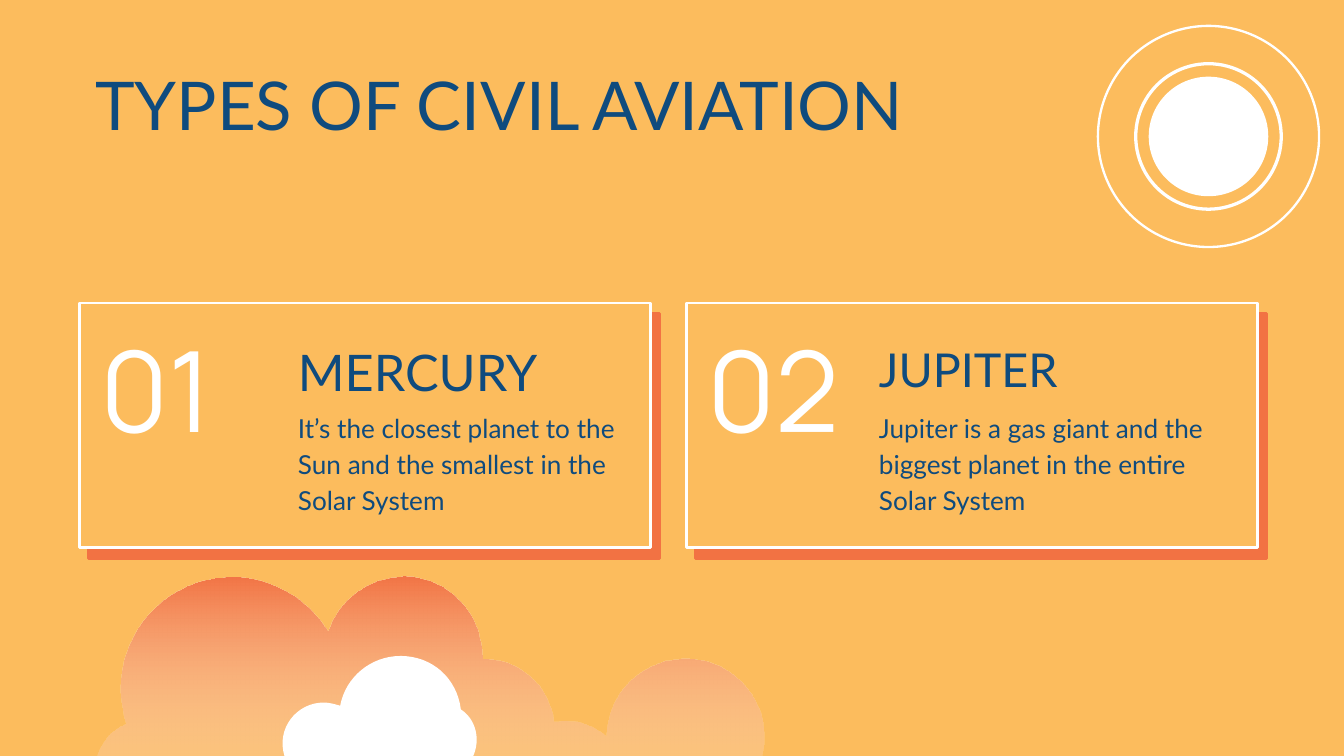
from dataclasses import dataclass

from lxml.etree import SubElement
from pptx import Presentation
from pptx.dml.color import RGBColor
from pptx.enum.shapes import MSO_SHAPE as Shape
from pptx.enum.text import MSO_ANCHOR as Anchor, MSO_AUTO_SIZE as AutoSize, PP_ALIGN as Align
from pptx.oxml.ns import qn
from pptx.util import Cm, Pt


@dataclass(frozen=True)
class Theme:
    sky: RGBColor = RGBColor.from_string("FCBC5D")
    coral: RGBColor = RGBColor.from_string("F27243")
    navy: RGBColor = RGBColor.from_string("0F4B7E")
    white: RGBColor = RGBColor.from_string("FFFFFF")
    text_font: str = "Lato"
    number_font: str = "Manrope"
    title_size: int = 36
    number_size: int = 60
    body_size: int = 14


THEME = Theme()

# Outlines in cm: a start point, then cubic curves (control, control, end).
LARGE_CLOUD = ((14.07, 14.91), [
    (14.33, 14.63, 14.45, 14.27, 14.43, 13.89),
    (14.43, 13.13, 13.82, 12.5, 13.03, 12.45),
    (12.19, 12.4, 11.46, 13.08, 11.46, 13.92),
    (11.2, 13.69, 10.82, 13.56, 10.46, 13.64),
    (10.39, 12.95, 9.8, 12.45, 9.12, 12.45),
    (9.12, 11.66, 8.59, 11.05, 7.85, 10.92),
    (7.14, 10.82, 6.43, 11.25, 6.2, 11.94),
    (5.79, 11.28, 5.05, 10.87, 4.27, 10.92),
    (3.23, 10.97, 2.39, 11.79, 2.29, 12.83),
    (2.26, 13.11, 2.31, 13.39, 2.39, 13.67),
    (1.8, 13.92, 1.6, 14.68, 2.03, 15.16),
    (1.24, 15.21, 0.71, 15.37, 0.71, 15.52),
    (0.71, 15.72, 15.04, 15.77, 15.04, 15.42),
    (15.04, 15.21, 14.66, 15.01, 14.07, 14.91),
])
SMALL_CLOUD = ((7.57, 12.4), [
    (7.01, 12.4, 6.53, 12.8, 6.43, 13.34),
    (6.32, 13.31, 6.22, 13.28, 6.12, 13.28),
    (5.61, 13.28, 5.21, 13.77, 5.38, 14.3),
    (5.08, 14.3, 4.85, 14.43, 4.85, 14.55),
    (4.85, 14.71, 5.13, 14.83, 5.49, 14.83),
    (6.5, 14.83, 7.6, 14.6, 8.79, 14.68),
    (9.3, 14.68, 9.73, 14.6, 9.73, 14.48),
    (9.73, 14.4, 9.4, 14.3, 8.94, 14.3),
    (9.09, 13.97, 8.99, 13.59, 8.71, 13.41),
    (8.64, 12.83, 8.18, 12.4, 7.57, 12.4),
])

# Number, heading, heading size, text, left edge of the text in cm
TOPICS = [
    ("01", "MERCURY", 27,
     "It’s the closest planet to the Sun and the smallest in the Solar System", 5.38),
    ("02", "JUPITER", 25,
     "Jupiter is a gas giant and the biggest planet in the entire Solar System", 16.36),
]
CARD_LEFT, CARD_TOP, CARD_WIDTH, CARD_HEIGHT, CARD_PITCH = 1.5, 5.73, 10.8, 4.62, 11.47


def add_cloud(slide, start, curves):
    """Build the outline from its points, then join every three into one curve."""
    builder = slide.shapes.build_freeform(Cm(start[0]), Cm(start[1]))
    builder.add_line_segments([
        (Cm(curve[i]), Cm(curve[i + 1])) for curve in curves for i in (0, 2, 4)])
    cloud = builder.convert_to_shape()
    lines = list(cloud.element.spPr.iter(qn("a:lnTo")))
    for first in range(0, len(lines), 3):
        curve = lines[first].makeelement(qn("a:cubicBezTo"))
        lines[first].addprevious(curve)
        for line in lines[first:first + 3]:
            curve.append(line[0])
            line.getparent().remove(line)
    cloud.shadow.inherit = False
    cloud.line.fill.background()
    return cloud


def fade_down(cloud):
    """Fill from coral at the top to transparent white at the bottom."""
    cloud.fill.gradient()
    cloud.fill.gradient_angle = 270
    for stop, color, position in zip(cloud.fill.gradient_stops, (THEME.coral, THEME.white), (0, 1)):
        stop.color.rgb = color
        stop.position = position
    white = list(cloud.element.spPr.iter(qn("a:srgbClr")))[-1]
    SubElement(white, qn("a:alpha"), val="0")


def paint(shape, fill=None, line_width=None):
    shape.shadow.inherit = False
    if fill is None:
        shape.fill.background()
    else:
        shape.fill.solid()
        shape.fill.fore_color.rgb = fill
    if line_width is None:
        shape.line.fill.background()
    else:
        shape.line.color.rgb = THEME.white
        shape.line.width = Pt(line_width)


def add_sun(slide):
    center_x, center_y = 22.84, 2.58
    for diameter, fill, line_width in ((2.75, None, 1.75), (4.18, None, 1.25), (2.26, THEME.white, None)):
        disc = slide.shapes.add_shape(
            Shape.OVAL, Cm(center_x - diameter / 2), Cm(center_y - diameter / 2),
            Cm(diameter), Cm(diameter))
        paint(disc, fill, line_width)


def add_card(slide, left):
    card = slide.shapes.add_shape(
        Shape.RECTANGLE, Cm(left), Cm(CARD_TOP), Cm(CARD_WIDTH), Cm(CARD_HEIGHT))
    paint(card, THEME.sky, 1.5)
    shadow = SubElement(card.element.spPr.find(qn("a:effectLst")), qn("a:outerShdw"),
                        dist=str(Pt(7.5)), dir=str(50 * 60000), algn="bl", rotWithShape="0")
    SubElement(shadow, qn("a:srgbClr"), val=str(THEME.coral))


def write(box, text, size, color=THEME.navy, font=THEME.text_font, anchor=Anchor.TOP):
    frame = box.text_frame
    frame.word_wrap = True
    frame.auto_size = AutoSize.NONE
    frame.vertical_anchor = anchor
    frame.margin_left = frame.margin_right = frame.margin_top = frame.margin_bottom = Cm(0.25)
    frame.text = text
    paragraph = frame.paragraphs[0]
    properties = paragraph._p.get_or_add_pPr()
    properties.set("marL", "0")
    properties.set("indent", "0")
    SubElement(properties, qn("a:buNone"))
    paragraph.alignment = Align.LEFT
    paragraph.space_before = Pt(0)
    paragraph.font.name = font
    paragraph.font.size = Pt(size)
    paragraph.font.bold = False
    paragraph.font.color.rgb = color
    return paragraph


def place(slide, placeholder, left, top, width, height):
    """Position a placeholder and bring it in front of the artwork."""
    placeholder.left, placeholder.top = Cm(left), Cm(top)
    placeholder.width, placeholder.height = Cm(width), Cm(height)
    slide.shapes._spTree.append(placeholder.element)
    return placeholder


def add_topic(slide, index, number, heading, heading_size, description, text_left):
    card_left = CARD_LEFT + index * CARD_PITCH
    add_card(slide, card_left)
    number_box = slide.shapes.add_textbox(Cm(card_left + 0.15), Cm(5.8), Cm(3.43), Cm(3.84))
    write(number_box, number, THEME.number_size, THEME.white, THEME.number_font)

    heading_holder = slide.placeholders[1 + 2 * index]
    write(place(slide, heading_holder, text_left, 6.2, 7.06, 1.37), heading, heading_size)
    body_holder = slide.placeholders[2 + 2 * index]
    body = write(place(slide, body_holder, text_left, 7.46, 7.06, 2.36), description, THEME.body_size)
    body.line_spacing = 1.15
    body.space_after = Pt(16)


def main():
    deck = Presentation()
    deck.slide_width, deck.slide_height = Cm(25.4), Cm(14.29)
    comparison_layout = deck.slide_layouts[4]
    slide = deck.slides.add_slide(comparison_layout)
    slide.background.fill.solid()
    slide.background.fill.fore_color.rgb = THEME.sky

    fade_down(add_cloud(slide, *LARGE_CLOUD))
    add_sun(slide)
    paint(add_cloud(slide, *SMALL_CLOUD), THEME.white)

    title = place(slide, slide.shapes.title, 1.55, 0.92, 21.41, 2.06)
    write(title, "TYPES OF CIVIL AVIATION", THEME.title_size, anchor=Anchor.MIDDLE)
    for index, topic in enumerate(TOPICS):
        add_topic(slide, index, *topic)
    deck.save("out.pptx")


if __name__ == "__main__":
    main()
